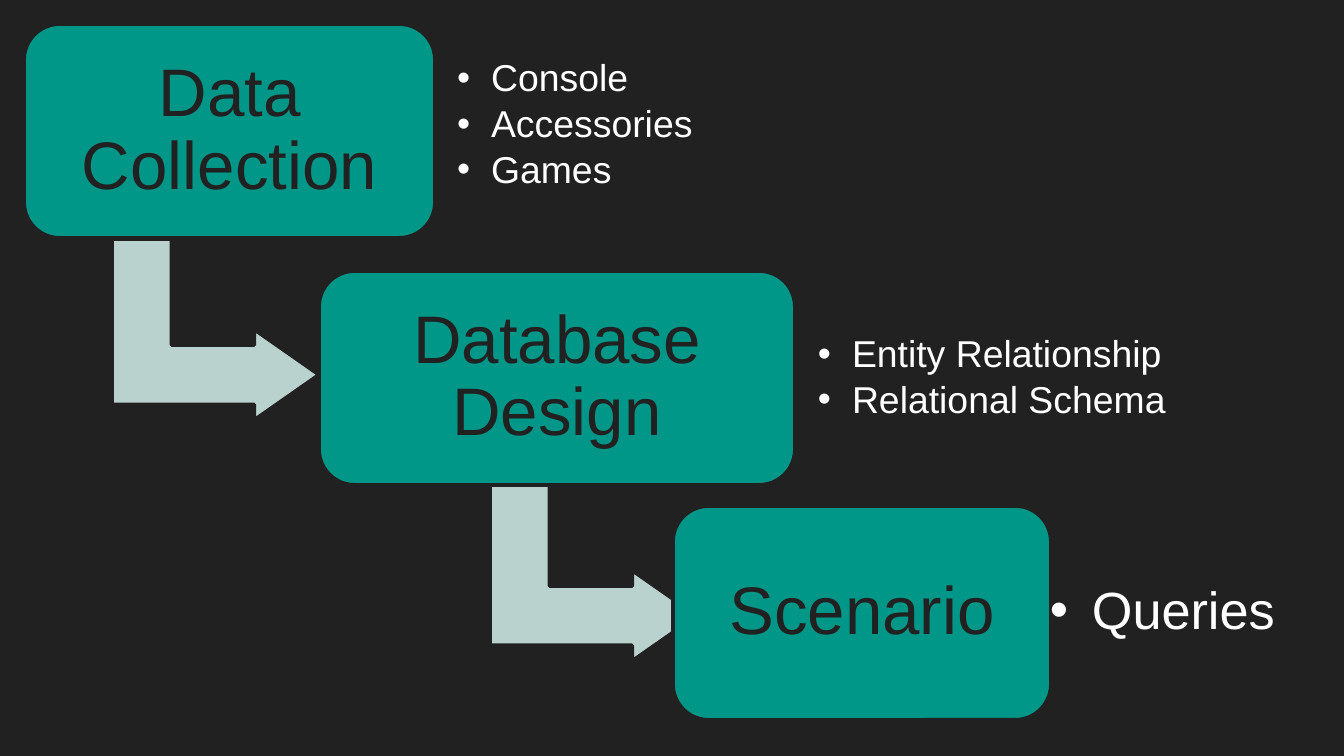
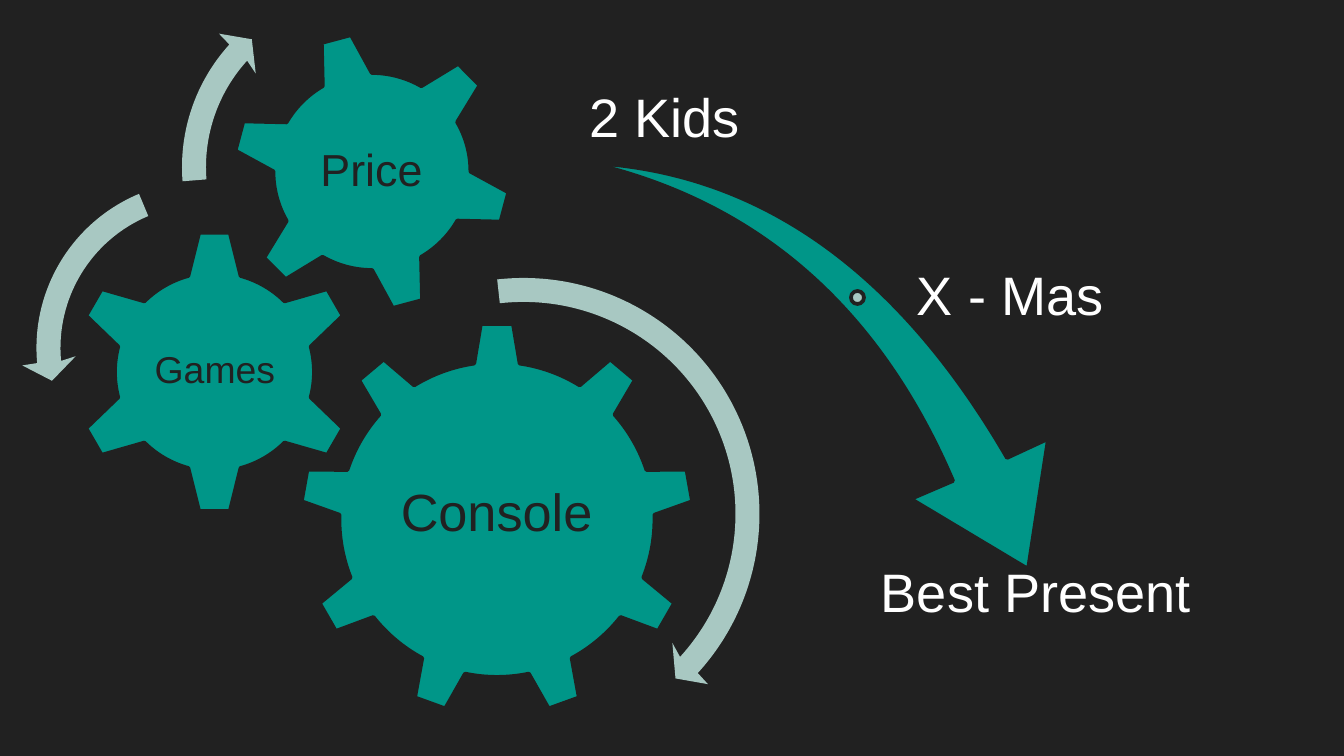
from math import atan, cos, degrees, hypot, radians, sin, tan
from lxml import etree
from pptx import Presentation
from pptx.dml.color import RGBColor
from pptx.enum.shapes import MSO_SHAPE as SHAPE
from pptx.enum.text import MSO_ANCHOR as ANCHOR, MSO_AUTO_SIZE as AUTO_SIZE, PP_ALIGN as ALIGN
from pptx.oxml.ns import qn
from pptx.util import Pt

SCALE = 914400 / 134.4
FONT = "Arial"
DARK = RGBColor(0x21, 0x21, 0x21)
TEAL = RGBColor(0x00, 0x96, 0x88)
PALE = RGBColor(0xBA, 0xD2, 0xCE)
SAGE = RGBColor(0xA8, 0xC8, 0xC2)
WHITE = RGBColor(0xFF, 0xFF, 0xFF)


def paint(shape, fill, outlined=True):
    shape.shadow.inherit = False
    shape.fill.solid()
    shape.fill.fore_color.rgb = fill
    if outlined:
        shape.line.color.rgb = DARK
        shape.line.width = Pt(2)
    else:
        shape.line.fill.background()


def write(shape, lines, size, color, inset, align=ALIGN.CENTER, anchor=ANCHOR.MIDDLE):
    frame = shape.text_frame
    frame.word_wrap = True
    frame.auto_size = AUTO_SIZE.NONE
    frame.vertical_anchor = anchor
    frame.margin_left = frame.margin_right = round(inset * SCALE)
    frame.margin_top = frame.margin_bottom = round(inset * SCALE)
    for index, line in enumerate(lines):
        paragraph = frame.add_paragraph() if index else frame.paragraphs[0]
        paragraph.alignment = align
        paragraph.line_spacing = 0.9
        paragraph.space_before = Pt(3 if index else 0)
        run = paragraph.add_run()
        run.text = line
        run.font.name = FONT
        run.font.size = Pt(size)
        run.font.bold = False
        run.font.color.rgb = color


presentation = Presentation()
presentation.slide_width = round(1344 * SCALE)
presentation.slide_height = round(756 * SCALE)
background = presentation.slide_master.background.fill
background.solid()
background.fore_color.rgb = DARK

slide = presentation.slides.add_slide(presentation.slide_layouts.get_by_name("Comparison"))

steps = [
    ("Data Collection", (24, 24, 411, 214), (125, 226)),
    ("Database Design", (319, 271, 476, 214), (503, 467)),
    ("Scenario", (673, 506, 378, 214), None),
]
lists = [
    (1, ["Console", "Accessories", "Games"], (446, 39, 501, 173), 20, 11, 34),
    (2, ["Entity Relationship", "Relational Schema"], (807, 292, 386, 173), 20, 11, 34),
    (3, ["Queries"], (1034, 526, 270, 173), 28, 16, 42),
]
for (label, step_box, corner), (number, items, box, size, inset, indent) in zip(steps, lists):
    if corner:
        arrow = slide.shapes.add_shape(
            SHAPE.BENT_UP_ARROW, *[round(value * SCALE) for value in (*corner, 181, 207)])
        arrow.rotation = 90
        for index, value in enumerate((0.328, 0.25, 0.358)):
            arrow.adjustments[index] = value
        paint(arrow, PALE)
    step = slide.shapes.add_shape(
        SHAPE.ROUNDED_RECTANGLE, *[round(value * SCALE) for value in step_box])
    step.adjustments[0] = 0.167
    paint(step, TEAL)
    write(step, [label], 36, DARK, 20)

    body = slide.placeholders[number]
    body.left, body.top, body.width, body.height = [round(value * SCALE) for value in box]
    write(body, items, size, WHITE, inset, ALIGN.LEFT)
    for paragraph in body.text_frame.paragraphs:
        properties = paragraph._p.get_or_add_pPr()
        properties.set("marL", str(round(indent * SCALE)))
        properties.set("indent", str(round(-indent * SCALE)))
        etree.SubElement(properties, qn("a:buFont")).set("typeface", FONT)
        etree.SubElement(properties, qn("a:buChar")).set("char", "•")
    slide.shapes._spTree.append(body._element)

for number in (0, 4):
    unused = slide.placeholders[number]._element
    unused.getparent().remove(unused)

slide = presentation.slides.add_slide(presentation.slide_layouts.get_by_name("Blank"))
round_outlines = []

gears = [
    (("Console", 28, (379, 414, 235, 202)), 497, 519.5, 197, 9, 0, 196, 4.7, 157.5, 8.3),
    (("Games", 20, (144, 301, 142, 141)), 214.5, 372, 143, 6, 0, 140, 6.3, 99.5, 15.2),
    (("Price", 24, (293, 93, 157, 158)), 372, 171.5, 140.5, 6, -15, 138, 6.3, 98.5, 14.9),
]
for label, x, y, reach, teeth, turn, tip, tip_half, root, root_half in gears:
    pitch = 360 / teeth
    edges = [(root, turn - 90 - root_half, None)]
    for tooth in range(teeth):
        middle = turn - 90 + tooth * pitch
        valley = middle + root_half
        edges += [(tip, middle - tip_half, None), (tip, middle + tip_half, None),
                  (root, valley, None), (root, middle + pitch - root_half, valley)]
    round_outlines.append((x, y, reach, turn, edges, TEAL, True, label))

turning_arrows = [
    (523.5, 514, 252, 224, -96.4, 42.4, 2),
    (203.5, 348, 183, 155, -112.7, -185.2, 1),
    (364, 167, 197.5, 170, 175.5, 222.3, 1),
]
for x, y, reach, radius, start, end, parts in turning_arrows:
    sign = 1 if end > start else -1
    outer, inner = radius + 12, radius - 12
    stops = [start + (end - start) * part / parts for part in range(parts + 1)]
    edges = [(outer, start, None)]
    edges += [(outer, stop, begin) for begin, stop in zip(stops, stops[1:])]
    edges += [(radius + 27, end + 0.3 * sign, None),
              (radius, end + sign * degrees(19 / radius), None),
              (radius - 27, end - 1.5 * sign, None), (inner, end, None)]
    stops.reverse()
    edges += [(inner, stop, begin) for begin, stop in zip(stops, stops[1:])]
    round_outlines.append((x, y, reach, 0, edges, SAGE, False, None))

outlines = []
for x, y, reach, turn, edges, fill, outlined, label in round_outlines:
    segments = []
    for radius, angle, begin in edges:
        polar = [(radius, angle)]
        if begin is not None:
            pull = 4 / 3 * tan(radians(angle - begin) / 4)
            far, shift = radius * hypot(1, pull), degrees(atan(pull))
            polar = [(far, begin + shift), (far, angle - shift)] + polar
        segments.append([(x + r * cos(radians(a)), y + r * sin(radians(a))) for r, a in polar])
    frame = (x - reach, y - reach, 2 * reach, 2 * reach)
    outlines.append((frame, turn, segments, fill, outlined, label))

segments = [
    [(590, 163)],
    [(759, 172), (898, 270), (1007, 458)],
    [(1048, 439)], [(1028, 569)], [(911, 499)], [(953, 481)],
    [(879, 308), (758, 202), (590, 163)],
]
outlines.append(((578, 177, 516, 360), 73.3, segments, TEAL, True, None))

for (left, top, width, height), turn, segments, fill, outlined, label in outlines:
    corners = [(left, top), (left + width, top), (left + width, top + height),
               (left, top + height)]
    corners = [(round(x * SCALE), round(y * SCALE)) for x, y in corners]
    builder = slide.shapes.build_freeform(*corners[0], scale=1.0)
    builder.add_line_segments(corners[1:], close=True)
    shape = builder.convert_to_shape()
    shape.rotation = turn
    paint(shape, fill, outlined)
    outline = shape._element.find(".//" + qn("a:path"))
    for child in list(outline):
        outline.remove(child)
    cosine, sine = cos(radians(turn)), sin(radians(turn))
    for index, segment in enumerate(segments):
        kind = "a:cubicBezTo" if len(segment) == 3 else "a:lnTo" if index else "a:moveTo"
        command = etree.SubElement(outline, qn(kind))
        for x, y in segment:
            across, down = x - left - width / 2, y - top - height / 2
            point = etree.SubElement(command, qn("a:pt"))
            point.set("x", str(round((across * cosine + down * sine + width / 2) * SCALE)))
            point.set("y", str(round((down * cosine - across * sine + height / 2) * SCALE)))
    etree.SubElement(outline, qn("a:close"))
    if label:
        word, size, box = label
        caption = slide.shapes.add_textbox(*[round(value * SCALE) for value in box])
        write(caption, [word], size, DARK, 4)

dot = slide.shapes.add_shape(
    SHAPE.OVAL, *[round(value * SCALE) for value in (851, 291, 13, 13)])
paint(dot, SAGE)

captions = [
    ("2 Kids", (543, 59, 243, 95), ALIGN.CENTER, ANCHOR.BOTTOM),
    ("X - Mas", (912, 250, 289, 95), ALIGN.LEFT, ANCHOR.MIDDLE),
    ("Best Present", (872, 561, 328, 95), ALIGN.CENTER, ANCHOR.TOP),
]
for word, box, align, anchor in captions:
    caption = slide.shapes.add_textbox(*[round(value * SCALE) for value in box])
    write(caption, [word], 29, WHITE, 5, align, anchor)

presentation.save("out.pptx")
